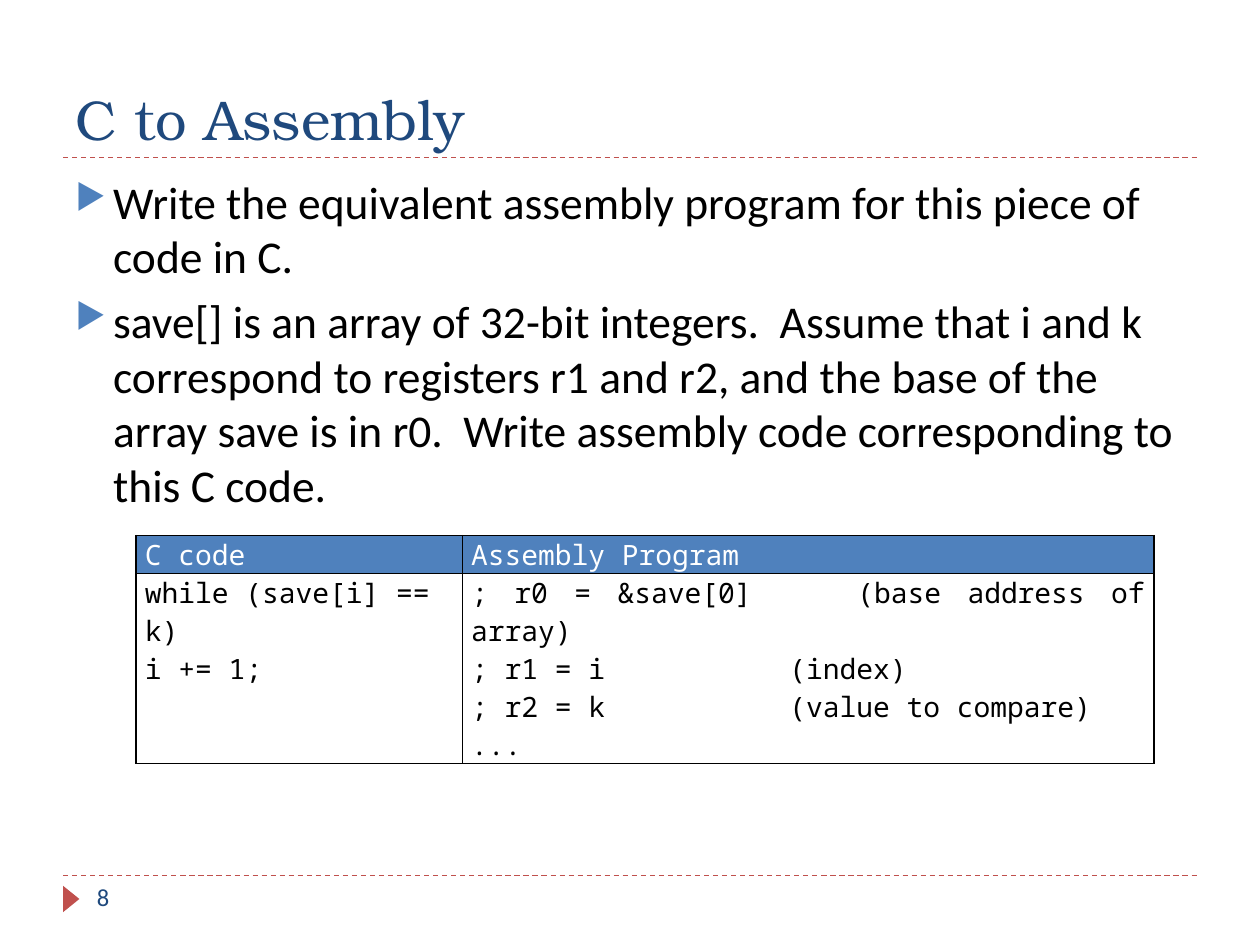
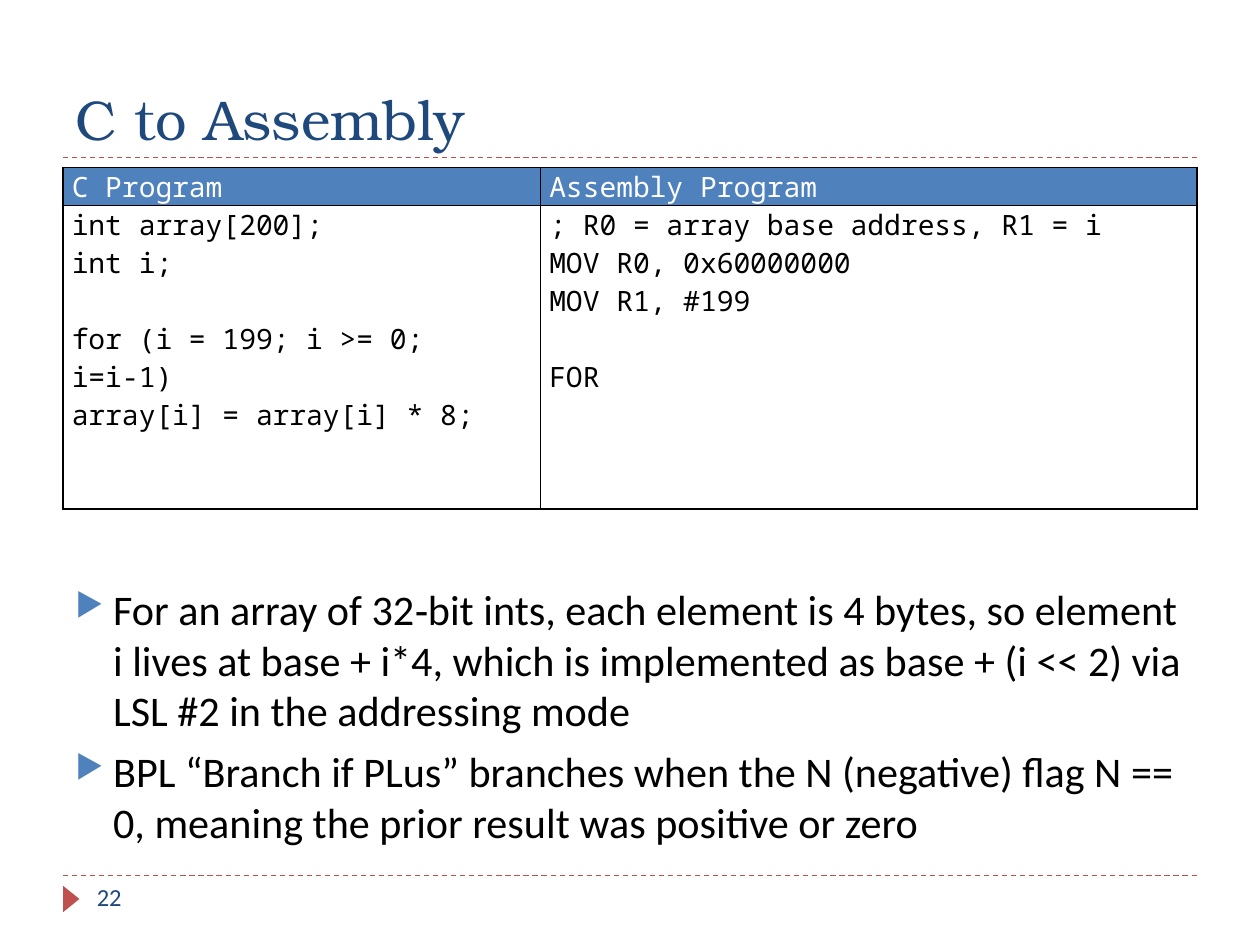
from lxml.etree import SubElement
from pptx import Presentation
from pptx.dml.color import RGBColor
from pptx.enum.dml import MSO_LINE
from pptx.enum.shapes import MSO_CONNECTOR, MSO_SHAPE
from pptx.enum.text import MSO_ANCHOR, PP_ALIGN
from pptx.oxml.ns import qn
from pptx.util import Inches, Pt

# Content
COMMENT_COLUMN = 19  # character at which aligned code comments start
REGISTERS = [
    ("; r0 = &save[0]", "(base address of array)"),
    ("; r1 = i", "(index)"),
    ("; r2 = k", "(value to compare)"),
]
SLIDES = [
    {
        "title": "C to Assembly",
        "number": "8",
        "bullets": [
            "Write the equivalent assembly program for this piece of code in C.",
            "save[] is an array of 32-bit integers.  Assume that i and k correspond to "
            "registers r1 and r2, and the base of the array save is in r0.  Write "
            "assembly code corresponding to this C code.",
        ],
        "bullet_box": (0.5, 1.33, 9, 5.4),
        "bullet_size": 26,
        "headings": ["C code", "Assembly Program"],
        # Each code column is a list of blocks, set apart by one line
        "code": [
            [["while (save[i] == k)", "i += 1;"]],
            [[
                # The first comment wraps, so it keeps its own gap
                "    ".join(REGISTERS[0]),
                *(name.ljust(COMMENT_COLUMN) + note for name, note in REGISTERS[1:]),
                "...",
            ]],
        ],
        "table_origin": (1.08, 4.25),
        "columns": [2.59, 5.49],
        "rows": [0.3, 1.51],
    },
    {
        "title": "C to Assembly",
        "number": "22",
        "bullets": [
            "For an array of 32‑bit ints, each element is 4 bytes, so element i lives at "
            "base + i*4, which is implemented as base + (i << 2) via LSL #2 in the "
            "addressing mode",
            "BPL “Branch if PLus” branches when the N (negative) flag N == 0, meaning "
            "the prior result was positive or zero",
        ],
        "bullet_box": (0.5, 4.58, 9, 2.15),
        "bullet_size": 24.1,
        "headings": ["C Program", "Assembly Program"],
        "code": [
            [
                ["int array[200];", "int i;"],
                ["for (i = 199; i >= 0; i=i-1)", "array[i] = array[i] * 8;"],
            ],
            [
                ["; R0 = array base address, R1 = i", "MOV R0, 0x60000000", "MOV R1, #199"],
                ["FOR"],
            ],
        ],
        "table_origin": (0.5, 1.33),
        "columns": [3.79, 5.21],
        "rows": [0.3, 2.41],
    },
]

# Shared style
NAVY, BLUE, RED, BLACK, WHITE = "1F497D", "4F81BD", "C0504D", "000000", "FFFFFF"
TITLE_FONT, BODY_FONT, CODE_FONT = "TeX Gyre Bonum", "Calibri", "Noto Sans Mono"
CODE_SIZE = 16
CODE_LINE = 21.8  # height of one code line in points
RULE_LEFT, RULE_RIGHT = 0.5, 9.5
TITLE_RULE, FOOTER_RULE = 1.25, 6.95


def color(value):
    return RGBColor.from_string(value)


def set_font(paragraph, name, size, value):
    font = paragraph.font
    font.name, font.size, font.bold = name, Pt(size), False
    font.color.rgb = color(value)


def add_text_box(slide, box, anchor=MSO_ANCHOR.TOP):
    frame = slide.shapes.add_textbox(*map(Inches, box)).text_frame
    frame.word_wrap = True
    frame.vertical_anchor = anchor
    return frame


def add_line_of_text(slide, box, text, font, size, anchor=MSO_ANCHOR.TOP):
    paragraph = add_text_box(slide, box, anchor).paragraphs[0]
    paragraph.text = text
    set_font(paragraph, font, size, NAVY)


def next_paragraph(frame, index):
    return frame.add_paragraph() if index else frame.paragraphs[0]


def add_rule(slide, y):
    rule = slide.shapes.add_connector(
        MSO_CONNECTOR.STRAIGHT, Inches(RULE_LEFT), Inches(y), Inches(RULE_RIGHT), Inches(y))
    rule.line.color.rgb = color(RED)
    rule.line.width = Pt(0.75)
    rule.line.dash_style = MSO_LINE.DASH
    SubElement(rule._element.spPr, qn("a:effectLst"))


def add_frame(slide, title, number):
    # Rules, footer marker, title and page number
    add_rule(slide, FOOTER_RULE)
    add_rule(slide, TITLE_RULE)
    marker = slide.shapes.add_shape(
        MSO_SHAPE.ISOSCELES_TRIANGLE, *map(Inches, (0.46, 7.07, 0.21, 0.13)))
    marker.rotation = 90
    marker.shadow.inherit = False
    marker.fill.solid()
    marker.fill.fore_color.rgb = color(RED)
    marker.line.fill.background()
    add_line_of_text(slide, (0.5, 0.17, 9, 1.08), title, TITLE_FONT, 32, MSO_ANCHOR.BOTTOM)
    add_line_of_text(slide, (0.67, FOOTER_RULE, 2.17, 0.4), number, BODY_FONT, 14)


def add_bullet_mark(paragraph):
    properties = paragraph._p.get_or_add_pPr()
    properties.set("marL", str(Inches(0.3)))
    properties.set("indent", str(-Inches(0.3)))
    mark_color = SubElement(properties, qn("a:buClr"))
    SubElement(mark_color, qn("a:srgbClr"), val=BLUE)
    SubElement(properties, qn("a:buSzPct"), val="76000")
    SubElement(properties, qn("a:buChar"), char="▶")


def add_bullets(slide, box, texts, size):
    frame = add_text_box(slide, box)
    for index, text in enumerate(texts):
        paragraph = next_paragraph(frame, index)
        paragraph.text = text
        add_bullet_mark(paragraph)
        paragraph.space_before = Pt(6 if index else 0)
        set_font(paragraph, BODY_FONT, size, BLACK)


def style_cell(cell, fill=None):
    cell.margin_left = cell.margin_right = Inches(0.07)
    cell.margin_top = cell.margin_bottom = 0
    properties = cell._tc.get_or_add_tcPr()
    for side in ("a:lnL", "a:lnR", "a:lnT", "a:lnB"):
        border = SubElement(properties, qn(side), w=str(Pt(1)))
        SubElement(SubElement(border, qn("a:solidFill")), qn("a:srgbClr"), val=BLACK)
    if fill:
        cell.fill.solid()
        cell.fill.fore_color.rgb = color(fill)
    else:
        cell.fill.background()


def write_code(cell, blocks, value, alignment):
    index = 0
    for block in blocks:
        for line_number, line in enumerate(block):
            paragraph = next_paragraph(cell.text_frame, index)
            paragraph.text = line
            paragraph.alignment = alignment
            if index and line_number == 0:
                paragraph.space_before = Pt(CODE_LINE)
            set_font(paragraph, CODE_FONT, CODE_SIZE, value)
            index += 1


def add_code_table(slide, origin, columns, rows, headings, code):
    table = slide.shapes.add_table(
        len(rows), len(columns), *map(Inches, (*origin, sum(columns), sum(rows)))).table
    table.first_row = table.horz_banding = False
    for row, height in zip(table.rows, rows):
        row.height = Inches(height)
    body_alignments = [PP_ALIGN.LEFT, PP_ALIGN.JUSTIFY]
    for index, width in enumerate(columns):
        table.columns[index].width = Inches(width)
        heading_cell, code_cell = table.cell(0, index), table.cell(1, index)
        style_cell(heading_cell, BLUE)
        write_code(heading_cell, [[headings[index]]], WHITE, PP_ALIGN.JUSTIFY)
        style_cell(code_cell)
        write_code(code_cell, code[index], BLACK, body_alignments[index])


def main():
    presentation = Presentation()
    presentation.slide_width, presentation.slide_height = Inches(10), Inches(7.5)
    for content in SLIDES:
        slide = presentation.slides.add_slide(presentation.slide_layouts[6])
        add_frame(slide, content["title"], content["number"])
        add_bullets(slide, content["bullet_box"], content["bullets"], content["bullet_size"])
        add_code_table(slide, content["table_origin"], content["columns"], content["rows"],
                       content["headings"], content["code"])
    presentation.save("out.pptx")


if __name__ == "__main__":
    main()
